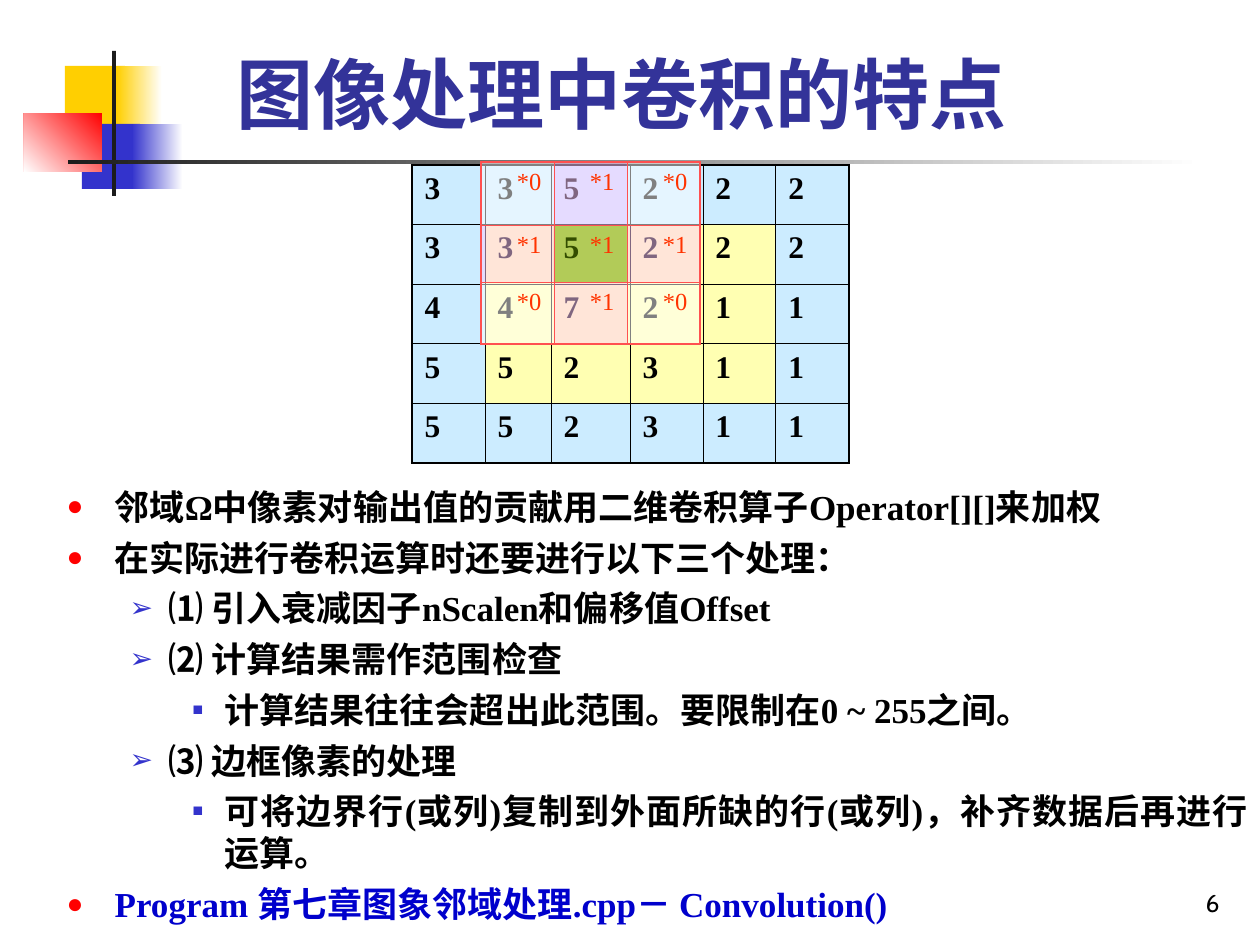
import lxml.etree
import pptx
import pptx.dml.color
import pptx.enum.shapes
import pptx.enum.text
import pptx.oxml.ns
import pptx.util

EMU_PER_PX = 914400 / 126
ALIGN = pptx.enum.text.PP_ALIGN
ANCHOR = pptx.enum.text.MSO_ANCHOR

# level: (text start px, hanging indent px, bullet, bullet colour, bullet size %)
BULLETS = {
    0: (48, 48, "●", "FF0000", 80),
    1: (102, 39, "➢", "3333CC", 80),
    2: (158, 32, "■", "3333CC", 50),
}


def px(length):
    return pptx.util.Emu(round(length * EMU_PER_PX))


def color(hex_string):
    return pptx.dml.color.RGBColor.from_string(hex_string)


def add_element(parent, tag, **attributes):
    element = lxml.etree.SubElement(parent, pptx.oxml.ns.qn(tag))
    for name, value in attributes.items():
        element.set(name, str(value))
    return element


class SlideBuilder:
    font_name = "Times New Roman"
    outer_border = 1.47
    inner_border = 0.45

    def __init__(self, presentation):
        self.slide = presentation.slides.add_slide(presentation.slide_layouts[1])

    def place(self, shape, left, top, width, height):
        shape.left, shape.top = px(left), px(top)
        shape.width, shape.height = px(width), px(height)

    def add_run(self, paragraph, text, size, hex_string, bold=False, font_name=None):
        run = paragraph.add_run()
        run.text = text
        run.font.name = font_name or self.font_name
        run.font.size = pptx.util.Pt(size)
        run.font.bold = bold
        run.font.color.rgb = color(hex_string)

    def title(self, text, *box):
        shape = self.slide.shapes.title
        self.place(shape, *box)
        frame = shape.text_frame
        frame.auto_size = pptx.enum.text.MSO_AUTO_SIZE.NONE
        frame.vertical_anchor = ANCHOR.BOTTOM
        paragraph = frame.paragraphs[0]
        paragraph.alignment = ALIGN.CENTER
        self.add_run(paragraph, text, 44, "333399", bold=True)

    def bullet_list(self, items, *box):
        """Fill the body placeholder with (level, text, colour) items."""
        shape = self.slide.placeholders[1]
        self.place(shape, *box)
        frame = shape.text_frame
        frame.auto_size = pptx.enum.text.MSO_AUTO_SIZE.NONE
        frame.vertical_anchor = ANCHOR.TOP
        for index, (level, text, hex_string) in enumerate(items):
            paragraph = frame.add_paragraph() if index else frame.paragraphs[0]
            paragraph.level = level
            paragraph.alignment = ALIGN.JUSTIFY
            paragraph.space_before = pptx.util.Pt(5 if index else 0)
            self.set_bullet(paragraph, *BULLETS[level])
            self.add_run(paragraph, text, 20, hex_string, bold=True)

    def set_bullet(self, paragraph, start, hanging, character, hex_string, percent):
        properties = paragraph._p.get_or_add_pPr()
        properties.set("marL", str(px(start)))
        properties.set("indent", str(-px(hanging)))
        bullet_color = add_element(properties, "a:buClr")
        add_element(bullet_color, "a:srgbClr", val=hex_string)
        add_element(properties, "a:buSzPct", val=percent * 1000)
        add_element(properties, "a:buChar", char=character)

    def rectangle(self, box, start, end=None, angle=180):
        """Draw a plain rectangle, or a gradient one if end is given (angle clockwise)."""
        shape = self.slide.shapes.add_shape(
            pptx.enum.shapes.MSO_SHAPE.RECTANGLE, *map(px, box))
        shape.shadow.inherit = False
        shape.line.fill.background()
        if end is None:
            shape.fill.solid()
            shape.fill.fore_color.rgb = color(start)
            return
        shape.fill.gradient()
        shape.fill.gradient_angle = 360 - angle
        for stop, hex_string in zip(shape.fill.gradient_stops, (start, end)):
            stop.color.rgb = color(hex_string)

    def number_grid(self, rows, box, widths, heights, border, cell_fill, text_style):
        """Draw a table; cell_fill(row, column) gives a colour and an opacity in percent."""
        row_count, column_count = len(rows), len(rows[0])
        table = self.slide.shapes.add_table(row_count, column_count, *map(px, box)).table
        table.first_row = table.horz_banding = False
        for column, width in zip(table.columns, widths):
            column.width = px(width)
        for row, height in zip(table.rows, heights):
            row.height = px(height)
        for i, values in enumerate(rows):
            for j, value in enumerate(values):
                cell = table.cell(i, j)
                outer_sides = {"a:lnL": j == 0, "a:lnR": j == column_count - 1,
                               "a:lnT": i == 0, "a:lnB": i == row_count - 1}
                self.set_borders(cell, outer_sides, border)
                self.set_cell_fill(cell, *cell_fill(i, j))
                self.set_cell_text(cell, value, **text_style)

    def set_borders(self, cell, outer_sides, hex_string):
        properties = cell._tc.get_or_add_tcPr()
        for tag, is_outer in outer_sides.items():
            width = self.outer_border if is_outer else self.inner_border
            line = add_element(properties, tag, w=pptx.util.Pt(width))
            add_element(add_element(line, "a:solidFill"), "a:srgbClr", val=hex_string)

    def set_cell_fill(self, cell, hex_string, opacity):
        cell.fill.solid()
        cell.fill.fore_color.rgb = color(hex_string)
        if opacity < 100:
            fill = cell._tc.tcPr.find(pptx.oxml.ns.qn("a:solidFill"))
            add_element(fill[0], "a:alpha", val=opacity * 1000)

    def set_cell_text(self, cell, text, size, hex_string, bold, alignment, space_before):
        paragraph = cell.text_frame.paragraphs[0]
        paragraph.alignment = alignment
        paragraph.space_before = pptx.util.Pt(space_before)
        self.add_run(paragraph, text, size, hex_string, bold)

    def slide_number(self, text, *box):
        frame = self.slide.shapes.add_textbox(*map(px, box)).text_frame
        frame.word_wrap = True
        frame.vertical_anchor = ANCHOR.BOTTOM
        paragraph = frame.paragraphs[0]
        paragraph.alignment = ALIGN.RIGHT
        self.add_run(paragraph, text, 14, "000000", font_name="Cabin")


def pixel_fill(row, column):
    is_inside = 1 <= row <= 3 and 1 <= column <= 4
    return ("FFFF66", 50) if is_inside else ("CCECFF", 100)


def kernel_fill(row, column):
    distance = abs(row - 1) + abs(column - 1)
    return ("669900", "FFCCFF", "FFFFFF")[distance], 50


def main():
    presentation = pptx.Presentation()
    presentation.slide_width, presentation.slide_height = px(1260), px(945)
    builder = SlideBuilder(presentation)

    builder.rectangle((65, 66, 60, 66), "FFCF01")
    builder.rectangle((117, 66, 45, 66), "FFFFFF", "FFCF01")
    builder.rectangle((82, 124, 58, 65), "3333CC")
    builder.rectangle((132, 124, 51, 65), "FFFFFF", "3333CC")
    builder.rectangle((24, 113, 78, 59), "FF0000", "FFFFFF", angle=135)
    builder.rectangle((112, 51, 4, 145), "1C1C1C")
    builder.rectangle((68, 160, 1134, 4), "FFFFFF", "1C1C1C")

    builder.title("图像处理中卷积的特点 ", 64, 35, 1133, 110)
    builder.bullet_list([
        (0, "邻域Ω中像素对输出值的贡献用二维卷积算子Operator[][]来加权", "000000"),
        (0, "在实际进行卷积运算时还要进行以下三个处理：", "000000"),
        (1, "⑴ 引入衰减因子nScalen和偏移值Offset", "000000"),
        (1, "⑵ 计算结果需作范围检查", "000000"),
        (2, "计算结果往往会超出此范围。要限制在0 ~ 255之间。", "000000"),
        (1, "⑶ 边框像素的处理", "000000"),
        (2, "可将边界行(或列)复制到外面所缺的行(或列)，补齐数据后再进行运算。", "000000"),
        (0, "Program 第七章图象邻域处理.cpp－ Convolution()", "0000CC"),
    ], 54, 479, 1206, 466)

    pixels = ["335222", "335222", "447211", "552311", "552311"]
    builder.number_grid(
        pixels, (412, 165, 437, 298), [73, 66, 79, 73, 73, 73], [59.6] * 5,
        "000000", pixel_fill,
        dict(size=18, hex_string="000000", bold=True,
             alignment=ALIGN.LEFT, space_before=4.5))

    kernel = [["*0", "*1", "*0"], ["*1", "*1", "*1"], ["*0", "*1", "*0"]]
    builder.number_grid(
        kernel, (481, 162, 219, 182), [73] * 3, [63, 57, 62],
        "FF5050", kernel_fill,
        dict(size=14, hex_string="FF3300", bold=False,
             alignment=ALIGN.RIGHT, space_before=3.5))

    builder.slide_number("6", 970, 861, 262, 63)
    presentation.save("out.pptx")


if __name__ == "__main__":
    main()
